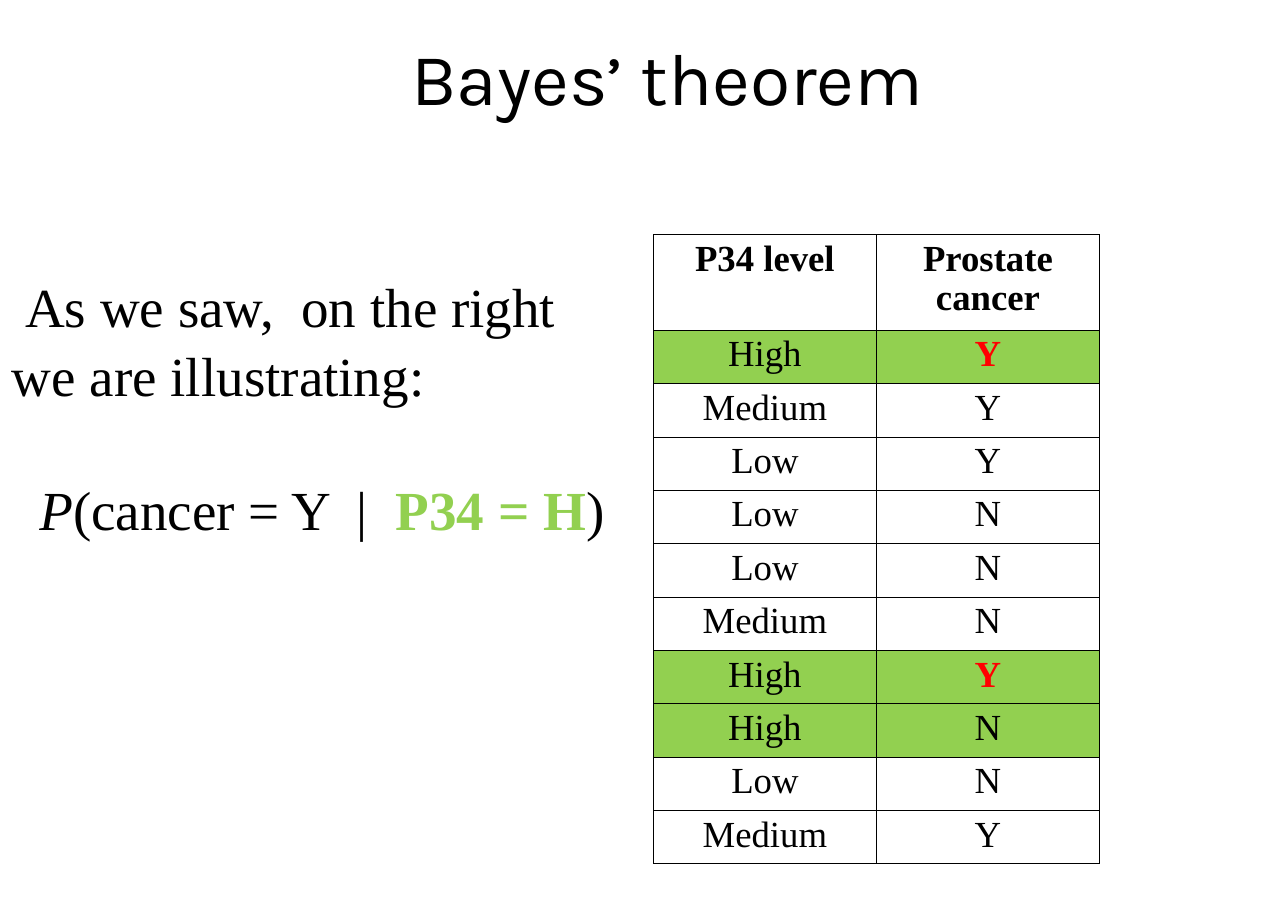
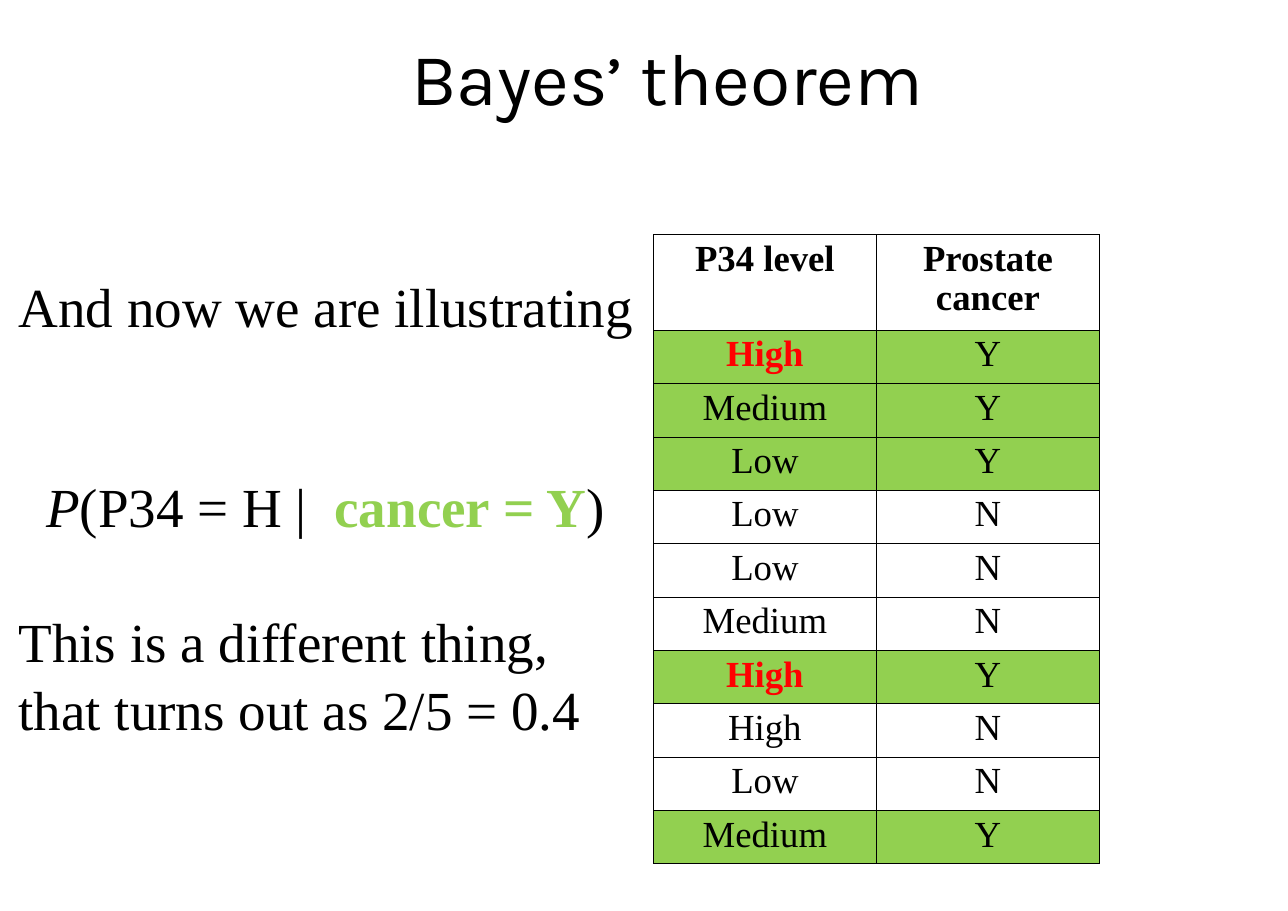
from dataclasses import dataclass

from lxml.etree import SubElement
from pptx import Presentation
from pptx.dml.color import RGBColor
from pptx.enum.text import MSO_ANCHOR, PP_ALIGN
from pptx.oxml.ns import qn
from pptx.util import Inches, Pt


@dataclass(frozen=True)
class Theme:
    ink: str = "000000"
    paper: str = "FFFFFF"
    green: str = "92D050"
    red: str = "FF0000"
    head: str = "Karla"
    body: str = "Times New Roman"
    title: int = 48
    text: int = 36
    cell: int = 24
    rule: float = 0.45
    text_gap: float = 1.04
    cell_gap: float = 0.96
    blank: int = 43


THEME = Theme()
HEADER = ("P34 level", "Prostate cancer")
DATA = (
    ("High", "Y"), ("Medium", "Y"), ("Low", "Y"), ("Low", "N"), ("Low", "N"),
    ("Medium", "N"), ("High", "Y"), ("High", "N"), ("Low", "N"), ("Medium", "Y"),
)
LEVEL, CANCER = 0, 1
HIGH, YES = (LEVEL, "High"), (CANCER, "Y")


@dataclass(frozen=True)
class Line:
    """A paragraph; gap counts the line heights left free above it."""
    runs: tuple
    gap: int = 0
    left: float = 0


def style(run, size, font=THEME.body, color=THEME.ink, bold=False, italic=False):
    face = run.font
    face.name, face.size = font, Pt(size)
    face.bold, face.italic = bold, italic
    face.color.rgb = RGBColor.from_string(color)


def add_box(slide, left, top, width, height):
    box = slide.shapes.add_textbox(*map(Inches, (left, top, width, height)))
    box.text_frame.word_wrap = True
    return box.text_frame


def add_title(slide, text):
    frame = add_box(slide, 0.43, 0, 11.26, 1.38)
    frame.vertical_anchor = MSO_ANCHOR.MIDDLE
    frame.text = text
    para = frame.paragraphs[0]
    para.alignment = PP_ALIGN.CENTER
    style(para.runs[0], THEME.title, THEME.head)


def add_text(slide, left, height, lines):
    frame = add_box(slide, left, 2.4, 5.9, height)
    for i, line in enumerate(lines):
        para = frame.add_paragraph() if i else frame.paragraphs[0]
        para.line_spacing = THEME.text_gap
        para.space_before = Pt(line.gap * THEME.blank)
        para._p.get_or_add_pPr().set("marL", str(Inches(line.left)))
        for text, look in line.runs:
            run = para.add_run()
            run.text = text
            style(run, THEME.text, **look)


def plain(text, **place):
    return Line(((text, {}),), **place)


def formula(event, given, gap, left):
    runs = (
        ("P", {"italic": True}),
        (f"({event}|  ", {}),
        (given, {"color": THEME.green, "bold": True}),
        (")", {}),
    )
    return Line(runs, gap, left)


def add_border(cell):
    props = cell._tc.get_or_add_tcPr()
    for side in ("lnL", "lnR", "lnT", "lnB"):
        edge = SubElement(props, qn(f"a:{side}"), w=str(Pt(THEME.rule)))
        fill = SubElement(edge, qn("a:solidFill"))
        SubElement(fill, qn("a:srgbClr"), val=THEME.ink)


def fill_cell(cell, text, back, color, bold):
    add_border(cell)
    cell.fill.solid()
    cell.fill.fore_color.rgb = RGBColor.from_string(back)
    cell.text_frame.text = text
    para = cell.text_frame.paragraphs[0]
    para.alignment = PP_ALIGN.CENTER
    para.line_spacing = THEME.cell_gap
    style(para.runs[0], THEME.cell, color=color, bold=bold)


def add_data(slide, event, given):
    """Shade the rows that meet given; in these, mark the cells that meet event."""
    tall, row_high = 0.83, 0.47
    rows = (HEADER,) + DATA
    high = tall + row_high * len(DATA)
    place = map(Inches, (5.93, 2.13, 4.05, high))
    table = slide.shapes.add_table(len(rows), len(HEADER), *place).table
    table.first_row = table.horz_banding = False
    for r, row in enumerate(rows):
        table.rows[r].height = Inches(row_high if r else tall)
        shaded = row[given[0]] == given[1]
        for c, text in enumerate(row):
            hit = shaded and (c, text) == event
            fill_cell(
                table.cell(r, c), text,
                back=THEME.green if shaded else THEME.paper,
                color=THEME.red if hit else THEME.ink,
                bold=hit or r == 0,
            )


def add_page(deck, event, given, left, height, lines):
    slide = deck.slides.add_slide(deck.slide_layouts[6])
    add_title(slide, "Bayes’ theorem")
    add_data(slide, event, given)
    add_text(slide, left, height, lines)


def main():
    deck = Presentation()
    deck.slide_width, deck.slide_height = Inches(11.69), Inches(8.27)
    add_page(deck, YES, HIGH, 0.01, 3.1, (
        plain("As we saw,  on the right", left=0.12),
        plain("we are illustrating:"),
        formula("cancer = Y  ", "P34 = H", gap=1, left=0.25),
    ))
    add_page(deck, HIGH, YES, 0.07, 4.9, (
        plain("And now we are illustrating"),
        formula("P34 = H ", "cancer = Y", gap=2, left=0.25),
        plain("This is a different thing,", gap=1),
        plain("that turns out as 2/5 = 0.4"),
    ))
    deck.save("out.pptx")


if __name__ == "__main__":
    main()
